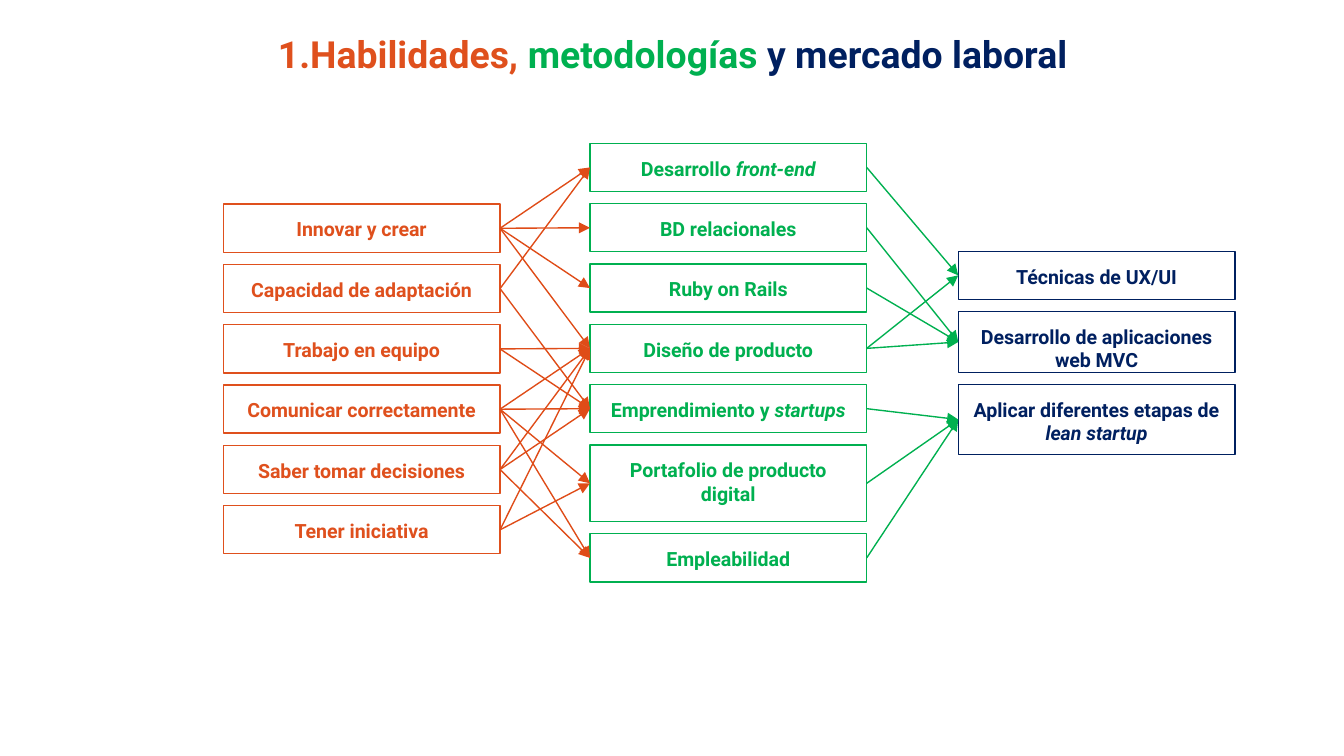
from pptx import Presentation
from pptx.dml.color import RGBColor
from pptx.enum.shapes import MSO_CONNECTOR, MSO_SHAPE
from pptx.enum.text import MSO_ANCHOR, MSO_AUTO_SIZE, PP_ALIGN
from pptx.oxml.ns import qn
from pptx.util import Cm, Pt
from lxml import etree

RECT = MSO_SHAPE.RECTANGLE
LINE = MSO_CONNECTOR.STRAIGHT
TOP, BOTTOM = MSO_ANCHOR.TOP, MSO_ANCHOR.BOTTOM
CENTER = PP_ALIGN.CENTER
FIXED = MSO_AUTO_SIZE.NONE
LEFT_SITE, RIGHT_SITE = 1, 3

COLORS = {"orange": "DF501D", "arrow": "DF4C18", "green": "00B050", "navy": "002060"}

ROW, GAP, WIDTH = 0.91, 0.23, 5.23

# Each box: plain text, italic ending, height
SKILLS = [
    ("Innovar y crear", "", ROW),
    ("Capacidad de adaptación", "", ROW),
    ("Trabajo en equipo", "", ROW),
    ("Comunicar correctamente", "", ROW),
    ("Saber tomar decisiones", "", ROW),
    ("Tener iniciativa", "", ROW),
]
METHODS = [
    ("Desarrollo ", "front-end", ROW),
    ("BD relacionales", "", ROW),
    ("Ruby on Rails", "", ROW),
    ("Diseño de producto", "", ROW),
    ("Emprendimiento y ", "startups", ROW),
    ("Portafolio de producto digital", "", 1.45),
    ("Empleabilidad", "", ROW),
]
JOBS = [
    ("Técnicas de UX/UI", "", ROW),
    ("Desarrollo de aplicaciones web MVC", "", 1.15),
    ("Aplicar diferentes etapas de ", "lean startup", 1.32),
]

# For each box, the rows it points to in the next column
SKILL_LINKS = [(0, 1, 2, 3), (0, 4), (3, 4), (3, 4, 5, 6), (3, 4, 6), (3, 5)]
METHOD_LINKS = [(0,), (1,), (1,), (0, 1), (2,), (2,), (2,)]


class Deck:
    """Holds the style and the current slide."""

    font = "Roboto"
    line = Pt(0.75)
    inset = Cm(0.25)

    def __init__(self):
        self.show = Presentation()
        self.show.slide_width, self.show.slide_height = Cm(25.4), Cm(14.29)
        self.slide = self.show.slides.add_slide(self.show.slide_layouts[5])

    def color(self, name):
        return RGBColor.from_string(COLORS[name])

    def label(self, frame, parts, size, anchor):
        """Fill a frame with one centred paragraph of (text, colour, italic) parts."""
        frame.word_wrap = True
        frame.auto_size = FIXED
        frame.vertical_anchor = anchor
        frame.margin_left = frame.margin_right = self.inset
        frame.margin_top = frame.margin_bottom = self.inset
        para = frame.paragraphs[0]
        para.alignment = CENTER
        for text, color, italic in parts:
            run = para.add_run()
            run.text = text
            run.font.name, run.font.size = self.font, Pt(size)
            run.font.bold, run.font.italic = True, italic
            run.font.color.rgb = self.color(color)

    def title(self, parts):
        shape = self.slide.shapes.title
        shape.left, shape.top = Cm(4.55), Cm(0.61)
        shape.width, shape.height = Cm(16.33), Cm(1.07)
        self.label(shape.text_frame, parts, 20, BOTTOM)

    def box(self, left, top, height, parts, color):
        shape = self.slide.shapes.add_shape(RECT, Cm(left), Cm(top), Cm(WIDTH), Cm(height))
        shape.shadow.inherit = False
        shape.fill.background()
        shape.line.color.rgb = self.color(color)
        shape.line.width = self.line
        self.label(shape.text_frame, parts, 10.5, TOP)
        return shape

    def column(self, left, top, rows, color):
        """Stack boxes with equal gaps and return them."""
        boxes = []
        for text, ending, height in rows:
            parts = [(text, color, False)]
            if ending:
                parts.append((ending, color, True))
            boxes.append(self.box(left, top, height, parts, color))
            top += height + GAP
        return boxes

    def arrow(self, start, end, color):
        link = self.slide.shapes.add_connector(LINE, 0, 0, 0, 0)
        link.begin_connect(start, RIGHT_SITE)
        link.end_connect(end, LEFT_SITE)
        link.line.color.rgb = self.color(color)
        link.line.width = self.line
        props = link._element.spPr
        etree.SubElement(props.find(qn("a:ln")), qn("a:tailEnd"), type="triangle")
        etree.SubElement(props, qn("a:effectLst"))

    def connect(self, starts, ends, links, color):
        for start, rows in zip(starts, links):
            for row in rows:
                self.arrow(start, ends[row], color)


def main():
    deck = Deck()
    deck.title([
        ("1.Habilidades, ", "orange", False),
        ("metodologías ", "green", False),
        ("y mercado laboral", "navy", False),
    ])
    skills = deck.column(4.22, 3.86, SKILLS, "orange")
    methods = deck.column(11.15, 2.71, METHODS, "green")
    jobs = deck.column(18.11, 4.75, JOBS, "navy")
    deck.connect(skills, methods, SKILL_LINKS, "arrow")
    deck.connect(methods, jobs, METHOD_LINKS, "green")
    deck.show.save("out.pptx")


if __name__ == "__main__":
    main()
